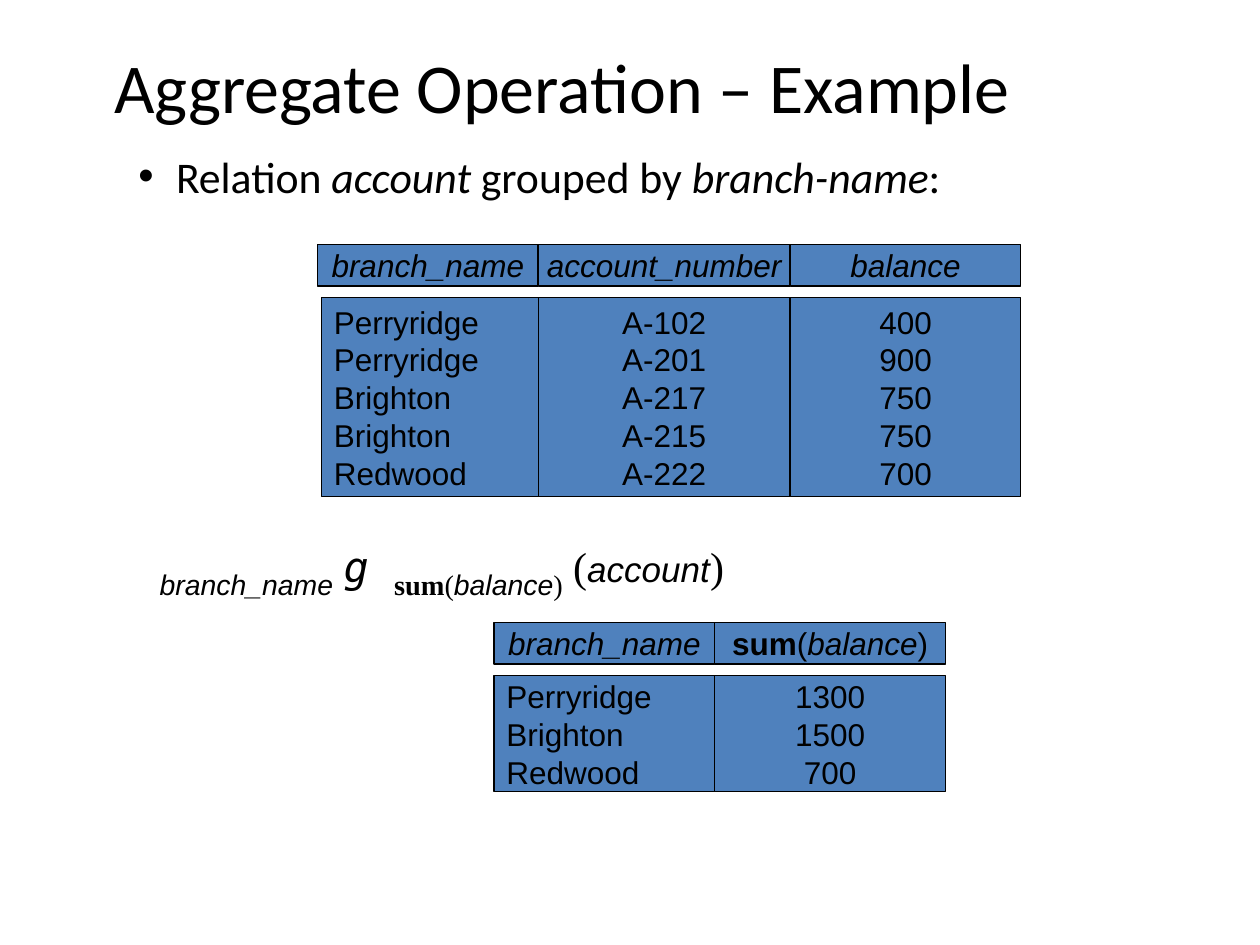
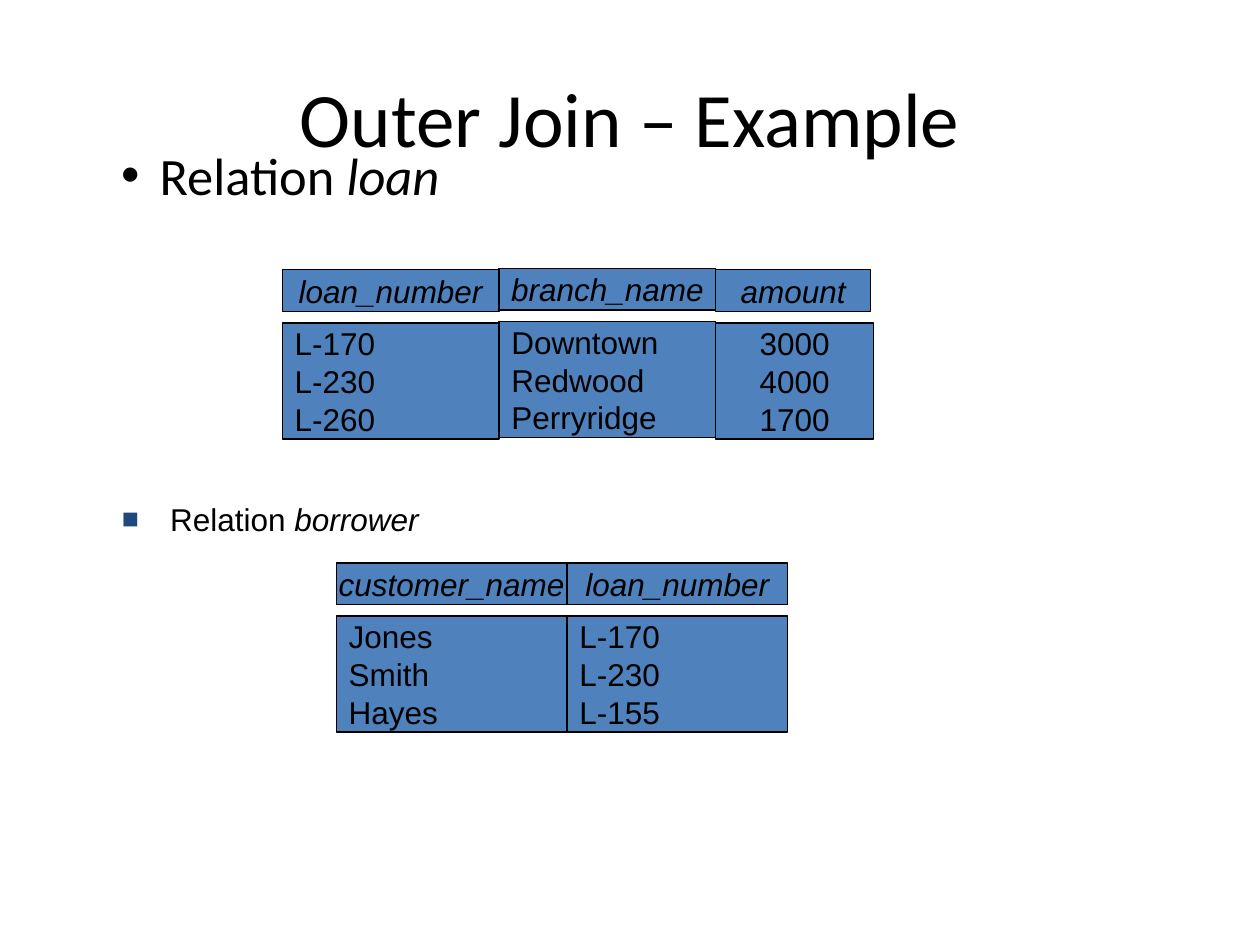
from dataclasses import dataclass
from lxml import etree
from pptx import Presentation
from pptx.dml.color import RGBColor
from pptx.enum.shapes import MSO_SHAPE
from pptx.enum.text import MSO_ANCHOR, PP_ALIGN
from pptx.oxml.ns import qn
from pptx.util import Cm, Pt

LEFT, CENTER = PP_ALIGN.LEFT, PP_ALIGN.CENTER
TOP, MIDDLE = MSO_ANCHOR.TOP, MSO_ANCHOR.MIDDLE
RECTANGLE = MSO_SHAPE.RECTANGLE


@dataclass(frozen=True)
class Theme:
    ink: str = "000000"
    cell: str = "4F81BD"
    square: str = "1F497D"
    heading: str = "Calibri"
    body: str = "Arial"
    serif: str = "Times New Roman"
    mono: str = "DejaVu Sans Mono"
    cell_size: float = 18
    operator_size: float = 24
    argument_size: float = 20
    subscript_size: float = 28
    border: float = 0.75


@dataclass(frozen=True)
class Span:
    text: str
    style: str = ""
    font: str = ""
    size: float = 0
    baseline: int = 0


@dataclass(frozen=True)
class Column:
    header: list
    values: list
    width: float
    align: int = CENTER
    lift: float = 0
    body_shift: float = 0
    body_extra: float = 0


@dataclass(frozen=True)
class Bullet:
    mark: str
    color: str
    indent: float
    space_before: float
    line_spacing: float = 1.0
    percent: int = 100


THEME = Theme()
HEADER_HEIGHT = 0.84
BODY_OFFSET = 1.07
BODY_HEIGHTS = {3: 2.34, 5: 4.01}


def italic(text):
    return [Span(text, "i")]


def subscript(text, style, font):
    return Span(text, style, font, THEME.subscript_size, -25000)


FORMULA = [
    subscript("branch_name", "i", THEME.body),
    Span(" "),
    Span("g ", "i", THEME.mono),
    subscript("sum", "b", THEME.serif),
    subscript("(", "", THEME.serif),
    subscript("balance", "i", THEME.body),
    subscript(")", "", THEME.serif),
    Span(" ("),
    Span("account", "i", THEME.body, THEME.argument_size),
    Span(")"),
]

PAGES = [
    {
        "title": ("Aggregate Operation – Example", 40, (1.27, 0.89, 20.12, 1.65)),
        "texts": [
            ([Span("Relation "), Span("account", "i"), Span(" grouped by "),
              Span("branch-name", "i"), Span(":")],
             THEME.heading, 25, (2.54, 3.1, 19.08, 1.14),
             Bullet("•", THEME.ink, 0.76, 6.2, 0.8)),
            (FORMULA, THEME.serif, THEME.operator_size, (2.97, 10.64, 19.53, 1.63), None),
        ],
        "relations": [
            (6.4, 4.93, [
                Column(italic("branch_name"),
                       ["Perryridge", "Perryridge", "Brighton", "Brighton", "Redwood"],
                       4.45, LEFT, body_shift=0.08),
                Column(italic("account_number"),
                       ["A-102", "A-201", "A-217", "A-215", "A-222"], 5.08),
                Column(italic("balance"), ["400", "900", "750", "750", "700"], 4.65),
            ]),
            (9.96, 12.55, [
                Column(italic("branch_name"), ["Perryridge", "Brighton", "Redwood"], 4.45, LEFT),
                Column([Span("sum", "b"), Span("("), Span("balance", "i"), Span(")")],
                       ["1300", "1500", "700"], 4.65),
            ]),
        ],
    },
    {
        "title": ("Outer Join – Example", 44, (1.27, 0.76, 22.86, 3.18)),
        "texts": [
            ([Span("Relation "), Span("loan", "i")],
             THEME.heading, 30, (2.21, 3.0, 19.05, 1.35),
             Bullet("•", THEME.ink, 0.76, 7.5, 0.8)),
            ([Span("Relation "), Span("borrower", "i")],
             THEME.body, 18, (2.21, 9.96, 19.53, 1.35),
             Bullet("■", THEME.square, 0.97, 7.9, percent=90)),
        ],
        "relations": [
            (6.78, 11.35, [
                Column(italic("customer_name"), ["Jones", "Smith", "Hayes"], 4.65, LEFT),
                Column(italic("loan_number"), ["L-170", "L-230", "L-155"], 4.45, LEFT),
            ]),
            (5.69, 5.44, [
                Column(italic("loan_number"), ["L-170", "L-230", "L-260"], 4.37, LEFT),
                Column(italic("branch_name"), ["Downtown", "Redwood", "Perryridge"],
                       4.37, LEFT, lift=0.03),
                Column(italic("amount"), ["3000", "4000", "1700"], 3.12, body_extra=0.06),
            ]),
        ],
    },
]


def color(value):
    return RGBColor.from_string(value)


def write(frame, lines, font, size, align=LEFT, anchor=MIDDLE, wrap=True):
    frame.word_wrap = wrap
    frame.vertical_anchor = anchor
    for index, spans in enumerate(lines):
        para = frame.add_paragraph() if index else frame.paragraphs[0]
        para.alignment = align
        for span in spans:
            run = para.add_run()
            run.text = span.text
            run.font.name = span.font or font
            run.font.size = Pt(span.size or size)
            run.font.italic = span.style == "i"
            run.font.bold = span.style == "b"
            run.font.color.rgb = color(THEME.ink)
            if span.baseline:
                run.font._element.set("baseline", str(span.baseline))


def add_bullet(para, bullet):
    para.space_before = Pt(bullet.space_before)
    para.line_spacing = bullet.line_spacing
    properties = para._p.get_or_add_pPr()
    properties.set("marL", str(Cm(bullet.indent)))
    properties.set("indent", str(-Cm(bullet.indent)))
    tint = etree.SubElement(properties, qn("a:buClr"))
    etree.SubElement(tint, qn("a:srgbClr"), val=bullet.color)
    etree.SubElement(properties, qn("a:buSzPct"), val=str(bullet.percent * 1000))
    etree.SubElement(properties, qn("a:buFont"), typeface=THEME.body)
    etree.SubElement(properties, qn("a:buChar"), char=bullet.mark)


def add_text(page, spans, font, size, place, bullet=None, align=LEFT, anchor=TOP):
    box = page.shapes.add_textbox(*map(Cm, place))
    write(box.text_frame, [spans], font, size, align, anchor)
    if bullet:
        add_bullet(box.text_frame.paragraphs[0], bullet)


def add_cell(group, place, lines, align):
    cell = group.shapes.add_shape(RECTANGLE, *map(Cm, place))
    cell.shadow.inherit = False
    cell.fill.solid()
    cell.fill.fore_color.rgb = color(THEME.cell)
    cell.line.color.rgb = color(THEME.ink)
    cell.line.width = Pt(THEME.border)
    write(cell.text_frame, lines, THEME.body, THEME.cell_size, align, wrap=False)


def add_relation(page, left, top, columns):
    group = page.shapes.add_group_shape()
    for column in columns:
        header_top = top - column.lift
        add_cell(group, (left, header_top, column.width, HEADER_HEIGHT),
                 [column.header], CENTER)
        add_cell(group, (left + column.body_shift, header_top + BODY_OFFSET,
                         column.width + column.body_extra, BODY_HEIGHTS[len(column.values)]),
                 [[Span(value)] for value in column.values], column.align)
        left += column.width


def main():
    deck = Presentation()
    deck.slide_width, deck.slide_height = Cm(25.4), Cm(19.05)
    for content in PAGES:
        page = deck.slides.add_slide(deck.slide_layouts[6])
        title, size, place = content["title"]
        add_text(page, [Span(title)], THEME.heading, size, place, align=CENTER, anchor=MIDDLE)
        for text in content["texts"]:
            add_text(page, *text)
        for relation in content["relations"]:
            add_relation(page, *relation)
    deck.save("out.pptx")


if __name__ == "__main__":
    main()
